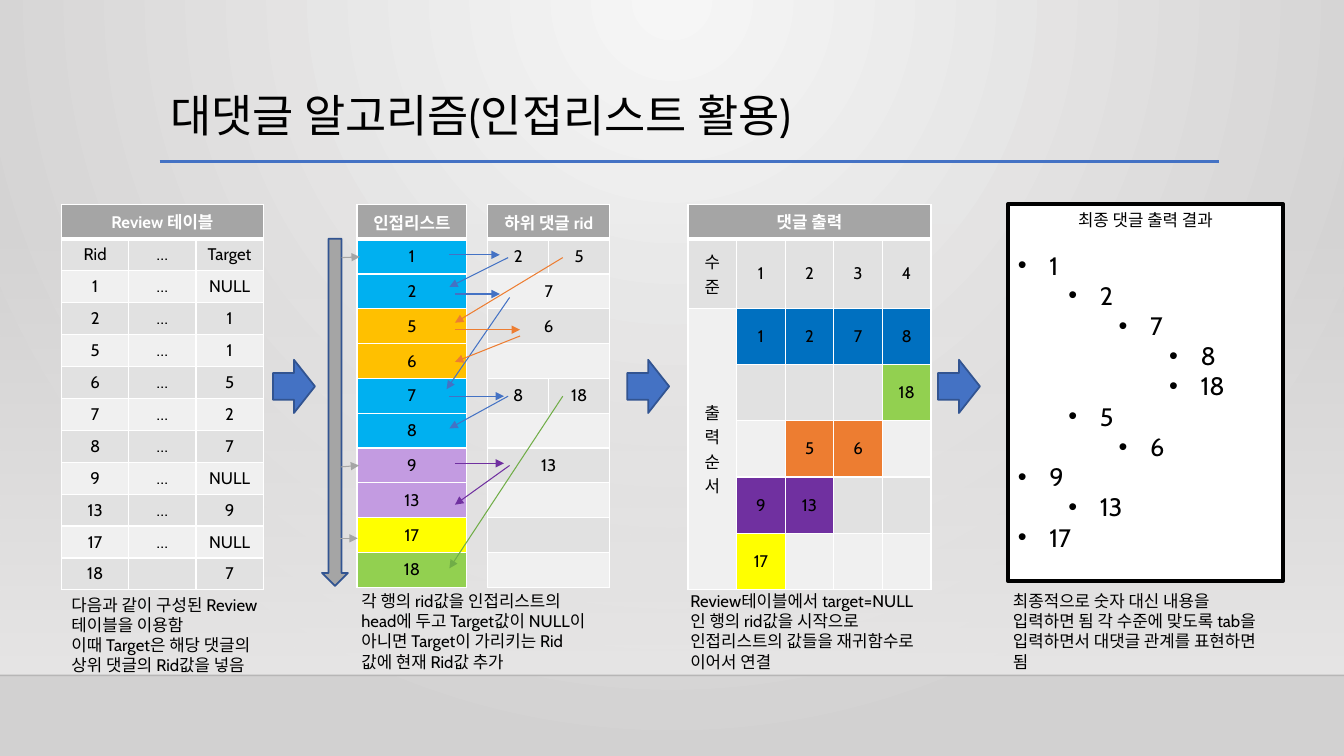
from lxml import etree
from pptx import Presentation
from pptx.dml.color import RGBColor
from pptx.enum.shapes import MSO_CONNECTOR, MSO_SHAPE
from pptx.enum.text import MSO_ANCHOR, PP_ALIGN
from pptx.oxml import parse_xml
from pptx.oxml.ns import qn
from pptx.util import Pt

STRAIGHT = MSO_CONNECTOR.STRAIGHT
RECTANGLE = MSO_SHAPE.RECTANGLE
RIGHT_ARROW, DOWN_ARROW = MSO_SHAPE.RIGHT_ARROW, MSO_SHAPE.DOWN_ARROW
LEFT, CENTER = PP_ALIGN.LEFT, PP_ALIGN.CENTER
TOP, MIDDLE = MSO_ANCHOR.TOP, MSO_ANCHOR.MIDDLE
NAMESPACE = 'xmlns:a="http://schemas.openxmlformats.org/drawingml/2006/main"'

BLACK, WHITE, GRAY = "000000", "FFFFFF", "A5A5A5"
BLUE, ORANGE, GREEN, PURPLE = "4472C4", "ED7D31", "70AD47", "7030A0"
BANDS = ("F0F0F0", "E1E1E1")

REVIEWS = [("Rid", "…", "Target"), ("1", "…", "NULL"), ("2", "…", "1"),
           ("5", "…", "1"), ("6", "…", "5"), ("7", "…", "2"), ("8", "…", "7"),
           ("9", "…", "NULL"), ("13", "…", "9"), ("17", "…", "NULL"),
           ("18", "", "7")]
HEADS = ["1", "2", "5", "6", "7", "8", "9", "13", "17", "18"]
HEAD_COLOURS = {**dict.fromkeys(["1", "2", "7", "8"], "00B0F0"),
                **dict.fromkeys(["5", "6"], "FFC000"),
                **dict.fromkeys(["9", "13"], "C39BE1"),
                "17": "FFFF00", "18": "92D050"}
CHILDREN = [("2", "5"), ("7", ""), ("6", ""), ("", ""), ("8", "18"),
            ("", ""), ("13", ""), ("", ""), ("", ""), ("", "")]
OUTPUT = [("수준", "1", "2", "3", "4"), ("출력순서", "1", "2", "7", "8"),
          ("", "", "", "", "18"), ("", "", "5", "6", ""),
          ("", "9", "13", "", ""), ("", "17", "", "", "")]
OUTPUT_COLOURS = {**dict.fromkeys(["1", "2", "7", "8"], "0070C0"),
                  **dict.fromkeys(["5", "6"], ORANGE),
                  **dict.fromkeys(["9", "13"], PURPLE),
                  "17": "FFFF00", "18": "92D050"}
RESULT = [("1", 0), ("2", 1), ("7", 2), ("8", 3), ("18", 3), ("5", 1),
          ("6", 2), ("9", 0), ("13", 1), ("17", 0)]
LINKS = [
    (BLUE, [(321, 182, 357, 182), (363, 184, 321, 205), (325, 210, 357, 210),
            (364, 212.5, 319, 278), (321, 283, 360, 283),
            (363, 283, 321, 306)]),
    (ORANGE, [(402, 184, 325, 230.5), (325, 235.5, 371.5, 235.5),
              (371.5, 240, 325, 258.5)]),
    (GREEN, [(402, 283, 321, 406)]),
    (PURPLE, [(325, 331, 360, 331), (364, 332.5, 325, 360.5)]),
    (GRAY, [(244, 184, 257, 183.5), (243.5, 333.5, 256.5, 332.5),
            (242.5, 384.5, 255.5, 384.5)]),
]
CAPTIONS = [
    (44, 421, 161, ["다음과 같이 구성된 Review 테이블을 이용함",
                    "이때 Target은 해당 댓글의 상위 댓글의 Rid값을 넣음"]),
    (251, 418.5, 179, ["각 행의 rid값을 인접리스트의 head에 두고 Target값이 NULL이 아니면 "
                       "Target이 가리키는 Rid 값에 현재 Rid값 추가"]),
    (486, 418.5, 179, ["Review테이블에서 target=NULL인 행의 rid값을 시작으로 "
                       "인접리스트의 값들을 재귀함수로 이어서 연결"]),
    (716.5, 418.5, 197, ["최종적으로 숫자 대신 내용을 입력하면 됨 각 수준에 맞도록 tab을 "
                         "입력하면서 대댓글 관계를 표현하면 됨"]),
]


def colour(value):
    return RGBColor.from_string(value)


def style(para, size=12, ink=BLACK, align=LEFT, bold=False):
    para.alignment = align
    para.font.name = "Cabin"
    para.font.size = Pt(size)
    para.font.bold = bold
    para.font.color.rgb = colour(ink)


def paint_background(page):
    page.background.fill.solid()
    properties = page.background.fill._xPr
    gradient = parse_xml(
        f'<a:gradFill {NAMESPACE} rotWithShape="1"><a:gsLst>'
        '<a:gs pos="0"><a:srgbClr val="F6F6F6"/></a:gs>'
        '<a:gs pos="100000"><a:srgbClr val="D2D1D1"/></a:gs></a:gsLst>'
        '<a:path path="circle"><a:fillToRect l="43000" r="43000" b="100000"/>'
        '</a:path></a:gradFill>')
    properties.replace(properties.find(qn("a:solidFill")), gradient)


def add_shape(page, kind, place, fill, line=None, width=1.25):
    box = page.shapes.add_shape(kind, *map(Pt, place))
    box.shadow.inherit = False
    box.fill.solid()
    box.fill.fore_color.rgb = colour(fill)
    if line:
        box.line.color.rgb = colour(line)
        box.line.width = Pt(width)
    else:
        box.line.fill.background()
    return box


def add_haze(page):
    box = add_shape(page, RECTANGLE, (0, 159, 960, 323.4), "E7E6E6")
    box.fill.gradient()
    box.fill.gradient_angle = 270
    for stop in box.fill.gradient_stops:
        stop.color.rgb = colour("E7E6E6")
    first = box.fill._xPr.find(".//" + qn("a:srgbClr"))
    etree.SubElement(first, qn("a:alpha"), val="0")


def add_line(page, ends, ink, width=0.75, arrow=False, opacity=100):
    line = page.shapes.add_connector(STRAIGHT, *map(Pt, ends))
    line.line.color.rgb = colour(ink)
    line.line.width = Pt(width)
    outline = line.line._get_or_add_ln()
    if opacity < 100:
        etree.SubElement(outline.find(".//" + qn("a:srgbClr")),
                         qn("a:alpha"), val=str(opacity * 1000))
    if arrow:
        etree.SubElement(outline, qn("a:tailEnd"), type="triangle")
    etree.SubElement(line._element.spPr, qn("a:effectLst"))


def set_borders(cell, top, bottom):
    properties = cell._tc.get_or_add_tcPr()
    for side, width in (("L", 1), ("R", 1), ("T", top), ("B", bottom)):
        properties.append(parse_xml(
            f'<a:ln{side} {NAMESPACE} w="{Pt(width)}"><a:solidFill>'
            f'<a:srgbClr val="{WHITE}"/></a:solidFill></a:ln{side}>'))


def add_grid(page, place, header, body, heights, colours, coloured_from=1):
    columns = len(body[0])
    frame = page.shapes.add_table(len(body) + 1, columns, *map(Pt, place))
    grid = frame.table
    for column in grid.columns:
        column.width = Pt(round(place[2] / columns, 2))
    for row, height in zip(grid.rows, heights):
        row.height = Pt(height)
    rows = [(header,) + ("",) * (columns - 1)] + body
    for i, texts in enumerate(rows):
        for j, text in enumerate(texts):
            cell = grid.cell(i, j)
            set_borders(cell, 3 if i == 1 else 1, 3 if i == 0 else 1)
            fill = GRAY if i == 0 else BANDS[i % 2]
            if i >= coloured_from:
                fill = colours.get(text, fill)
            cell.fill.solid()
            cell.fill.fore_color.rgb = colour(fill)
            cell.vertical_anchor = MIDDLE
            cell.text = text
            style(cell.text_frame.paragraphs[0], 12,
                  BLACK if i else WHITE, CENTER, i == 0)
    if columns > 1:
        grid.cell(0, 0).merge(grid.cell(0, columns - 1))
    return grid


def add_caption(page, left, top, width, lines):
    box = page.shapes.add_textbox(Pt(left), Pt(top), Pt(width), Pt(65.5))
    box.text_frame.word_wrap = True
    box.text_frame.text = "\n".join(lines)
    for para in box.text_frame.paragraphs:
        style(para)


def add_result(page):
    box = add_shape(page, RECTANGLE, (720, 146, 196.5, 269), WHITE, BLACK, 3)
    frame = box.text_frame
    frame.word_wrap = True
    frame.vertical_anchor = TOP
    heading = frame.paragraphs[0]
    heading.text = "최종 댓글 출력 결과"
    style(heading, align=CENTER)
    heading.space_after = Pt(14.5)
    for text, level in RESULT:
        para = frame.add_paragraph()
        para.text = text
        para.level = level
        style(para, 18)
        properties = para._p.get_or_add_pPr()
        properties.set("marL", str(Pt(22.5 + 36 * level)))
        properties.set("indent", str(Pt(-22.5)))
        for tag, key, value in (("buChar", "char", "•"),
                                ("buFont", "typeface", "Arial")):
            bullet = etree.Element(qn("a:" + tag), {key: value})
            properties.find(qn("a:defRPr")).addprevious(bullet)
            if tag == "buFont":
                properties.find(qn("a:buChar")).addprevious(bullet)


def add_title(page):
    title = page.shapes.title
    title.left, title.top, title.width, title.height = map(
        Pt, (114.5, 63.5, 756, 83))
    title.text_frame.text = "대댓글 알고리즘(인접리스트 활용)"
    title.text_frame.vertical_anchor = TOP
    para = title.text_frame.paragraphs[0]
    style(para, 32)
    para.line_spacing = 0.9


def main():
    deck = Presentation()
    deck.slide_width, deck.slide_height = Pt(960), Pt(540)
    page = deck.slides.add_slide(deck.slide_layouts[5])
    paint_background(page)
    add_haze(page)
    add_line(page, (0, 482.4, 960, 482.4), "000001", 1, opacity=20)
    add_line(page, (114, 115.2, 870.5, 115.2), BLUE, 2.5)
    add_title(page)

    add_grid(page, (44, 146, 144, 273.6), "Review 테이블", REVIEWS,
             [22.8] * 12, {})
    add_grid(page, (255, 146, 78.5, 273.6), "인접리스트",
             [(head,) for head in HEADS], [24.87] * 11, HEAD_COLOURS)
    children = add_grid(page, (348.5, 146, 87, 273.6), "하위 댓글 rid",
                        CHILDREN, [24.87] * 11, {})
    for i, (first, second) in enumerate(CHILDREN, 1):
        if not second:
            children.cell(i, 0).merge(children.cell(i, 1))
    output = add_grid(page, (491.5, 146, 173.5, 273), "댓글 출력", OUTPUT,
                      [22.3, 49.5] + [40.2] * 5, OUTPUT_COLOURS, 2)
    output.cell(2, 0).merge(output.cell(6, 0))

    add_result(page)
    for left in (195, 448, 670):
        add_shape(page, RIGHT_ARROW, (left, 257, 30, 38), BLUE, "325491")
    add_shape(page, DOWN_ARROW, (230, 170.5, 18.5, 248), GRAY, "325491")
    for caption in CAPTIONS:
        add_caption(page, *caption)
    for ink, routes in LINKS:
        for ends in routes:
            add_line(page, ends, ink, arrow=True)
    deck.save("out.pptx")


if __name__ == "__main__":
    main()
